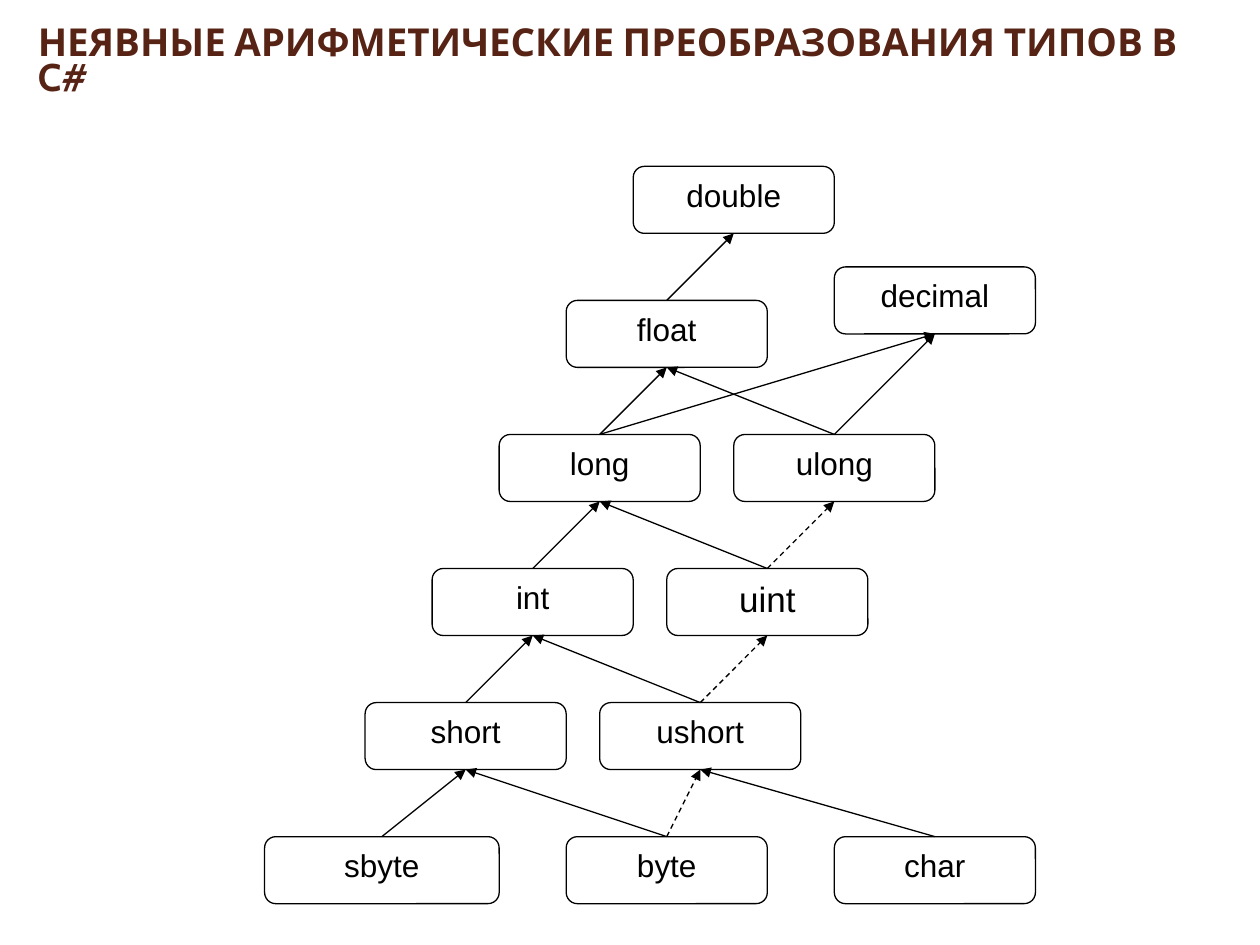
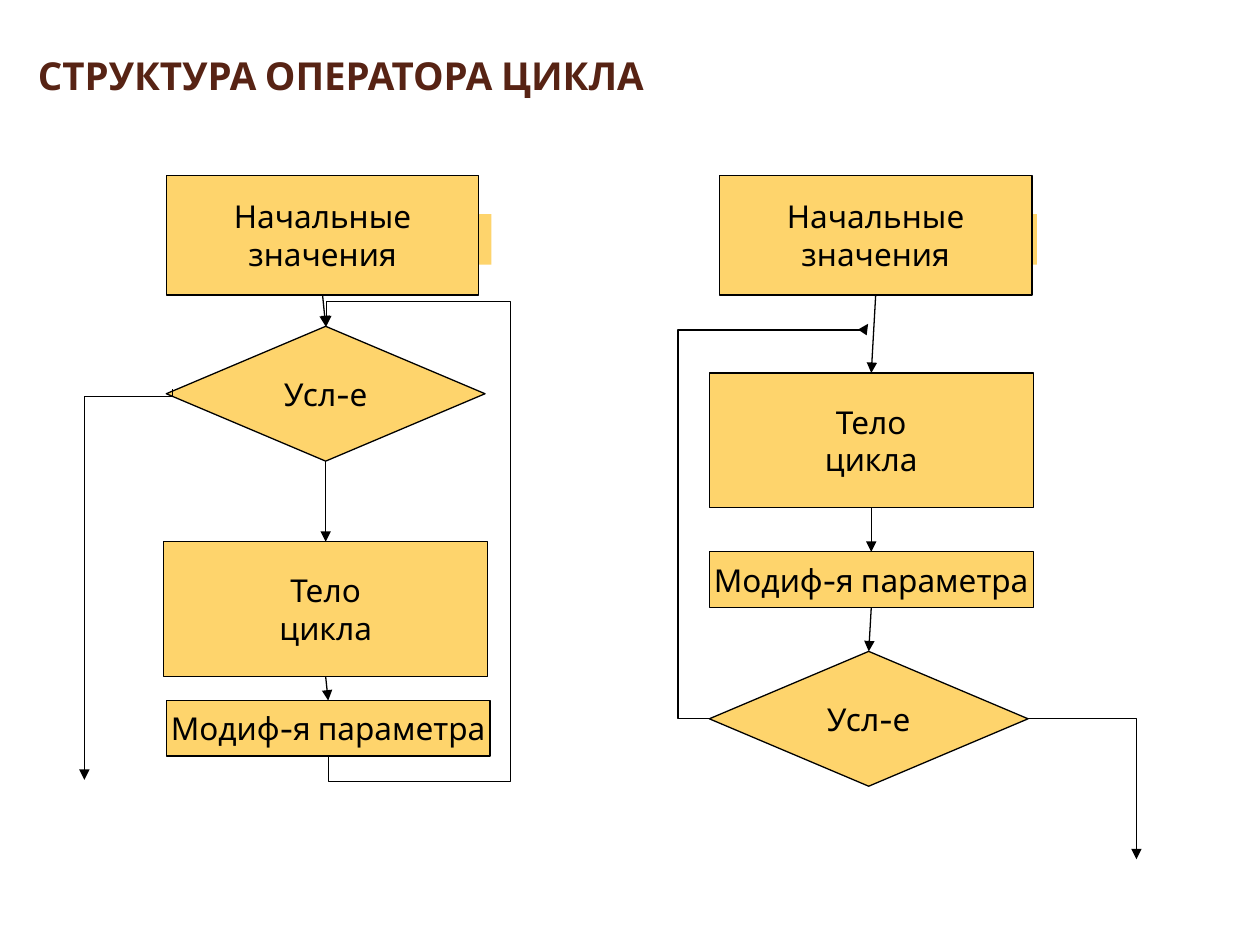
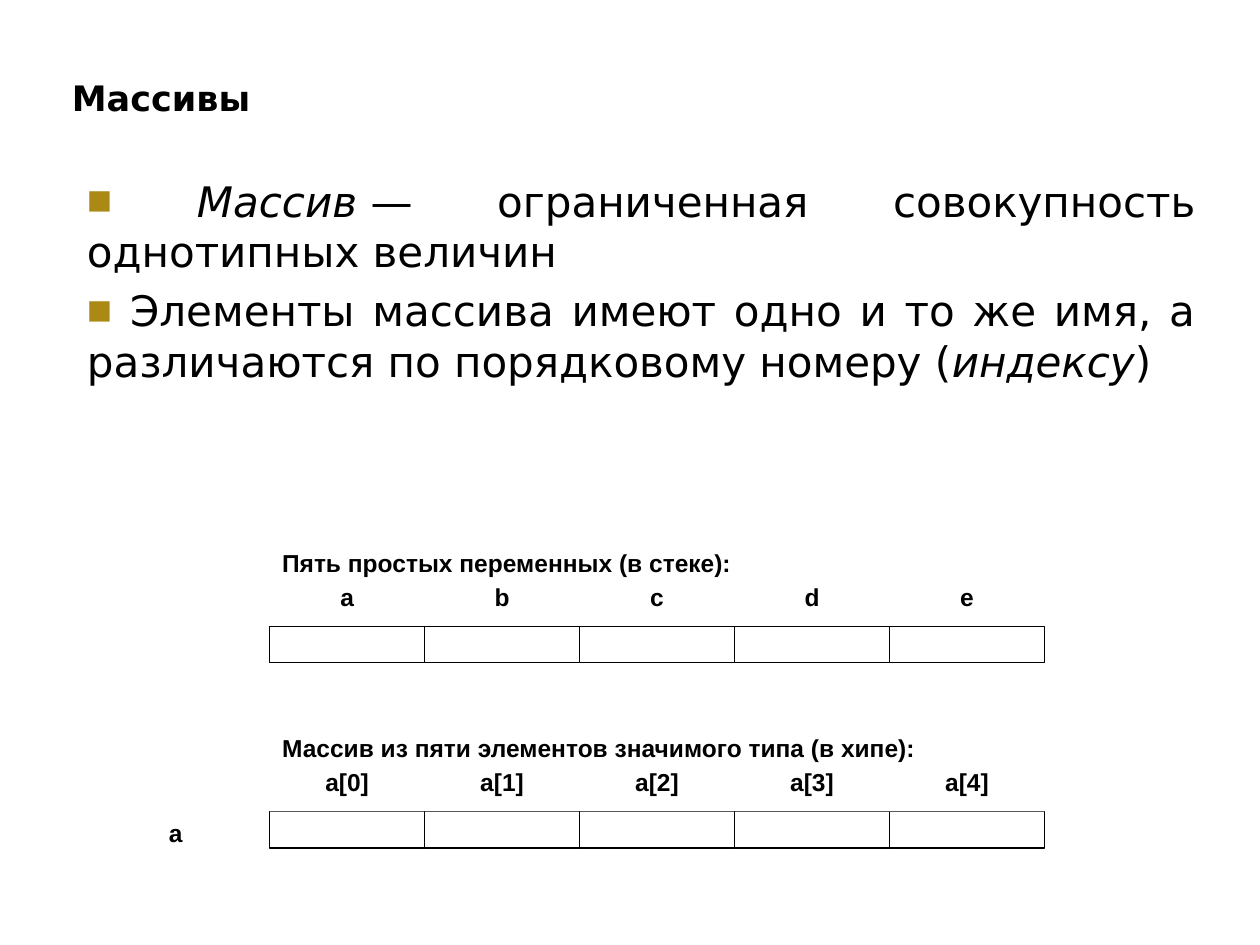
"""Build three C# lecture slides: type conversions, loop structure, arrays."""
from lxml.etree import SubElement
from pptx import Presentation
from pptx.dml.color import RGBColor
from pptx.enum.dml import MSO_LINE
from pptx.enum.shapes import MSO_CONNECTOR, MSO_SHAPE
from pptx.enum.text import MSO_ANCHOR as ANCHOR, MSO_AUTO_SIZE, PP_ALIGN as ALIGN
from pptx.oxml.ns import qn
from pptx.util import Inches, Pt

BLACK = RGBColor(0x00, 0x00, 0x00)
WHITE = RGBColor(0xFF, 0xFF, 0xFF)
BROWN = RGBColor(0x57, 0x23, 0x14)
YELLOW = RGBColor(0xFE, 0xD4, 0x6C)
BULLET = "AA8A14"
THIN = Pt(0.75)


def write(p, text, size=18, font="Arial", color=BLACK, bold=False, italic=False, align=ALIGN.CENTER):
    """Add one formatted run to a paragraph."""
    p.alignment = align
    r = p.add_run()
    r.text = text
    r.font.size, r.font.name = Pt(size), font
    r.font.bold, r.font.italic = bold, italic
    r.font.color.rgb = color


def box(s, kind, at, text="", fill=WHITE, outline=True, anchor=ANCHOR.TOP, wrap=True, **fmt):
    """Add a filled shape, one paragraph per line of text."""
    sp = s.shapes.add_shape(kind, *map(Inches, at))
    sp.shadow.inherit = False
    sp.fill.solid()
    sp.fill.fore_color.rgb = fill
    if outline:
        sp.line.color.rgb, sp.line.width = BLACK, THIN
    else:
        sp.line.fill.background()
    tf = sp.text_frame
    tf.vertical_anchor, tf.word_wrap = anchor, wrap
    for i, line in enumerate(text.split("\n") if text else []):
        write(tf.add_paragraph() if i else tf.paragraphs[0], line, **fmt)
    return sp


prs = Presentation()
prs.slide_width, prs.slide_height = Inches(10), Inches(7.5)

CONTENT, TITLE_ONLY = 1, 5
heading = dict(size=22, font="Cabin", color=BROWN)
titles = [
    (TITLE_ONLY, "НЕЯВНЫЕ АРИФМЕТИЧЕСКИЕ ПРЕОБРАЗОВАНИЯ ТИПОВ В C#", (0.2, -0.19, 9.61, 1.03), 0.05, heading),
    (TITLE_ONLY, "СТРУКТУРА ОПЕРАТОРА ЦИКЛА", (0.2, 0, 10.15, 0.83), 0.05, heading),
    (CONTENT, "Массивы", (0.47, 0, 4.17, 1.27), 0.33, dict(size=20, font="DejaVu Sans")),
]
for layout, text, at, bottom, fmt in titles:
    s = prs.slides.add_slide(prs.slide_layouts[layout])
    sp = s.shapes.title
    sp.left, sp.top, sp.width, sp.height = map(Inches, at)
    tf = sp.text_frame
    tf.auto_size, tf.vertical_anchor = MSO_AUTO_SIZE.NONE, ANCHOR.BOTTOM
    tf.margin_bottom = Inches(bottom)
    p = tf.paragraphs[0]
    p.line_spacing = Pt(20)
    write(p, text, bold=True, align=ALIGN.LEFT, **fmt)
types_slide, loop_slide, array_slide = prs.slides
arrows = []

UNIT = 5.32 / 20
LEFT, TOP = 2.1, 1.32
types = {
    "double": (11, 0), "decimal": (17, 3), "float": (9, 4),
    "long": (7, 8), "ulong": (14, 8), "int": (5, 12), "uint": (12, 12),
    "short": (3, 16), "ushort": (10, 16), "sbyte": (0, 20), "byte": (9, 20), "char": (17, 20),
}
nodes = {}
for name, (col, row) in types.items():
    cols = 7 if name == "sbyte" else 6
    at = (LEFT + col * UNIT, TOP + row * UNIT, cols * UNIT, 2 * UNIT)
    nodes[name] = box(types_slide, MSO_SHAPE.ROUNDED_RECTANGLE, at, name, size=20 if name == "uint" else 18)

conversions = {
    "sbyte": ["short"], "byte": ["short", "ushort"], "char": ["ushort"],
    "short": ["int"], "ushort": ["int", "uint"], "int": ["long"], "uint": ["long", "ulong"],
    "long": ["float", "decimal"], "ulong": ["float", "decimal"], "float": ["double"],
}
dashed = {("byte", "ushort"), ("ushort", "uint"), ("uint", "ulong")}
for source, targets in conversions.items():
    for target in targets:
        c = types_slide.shapes.add_connector(MSO_CONNECTOR.STRAIGHT, 0, 0, 0, 0)
        c.begin_connect(nodes[source], 0)
        c.end_connect(nodes[target], 2)
        arrows.append((c, (source, target) in dashed))

START, BODY, STEP, TEST = "Начальные\nзначения", "Тело\nцикла", "Модиф-я параметра", "Усл-е"
sizes = {START: (2.48, 0.95), BODY: (2.57, 1.07), STEP: (2.57, 0.44), TEST: (2.53, 1.07)}
flows = [
    ((1.42, 1.7), [(START, 1.32, 1.39), (TEST, 1.32, 2.59), (BODY, 1.3, 4.3), (STEP, 1.32, 5.56)]),
    ((5.75, 1.7), [(START, 5.71, 1.39), (BODY, 5.63, 2.96), (STEP, 5.63, 4.38), (TEST, 5.63, 5.17)]),
]
for stub, steps in flows:
    box(loop_slide, MSO_SHAPE.RECTANGLE, (*stub, 2.48, 0.4), fill=YELLOW, outline=False)
    chain = []
    for text, x, y in steps:
        kind = MSO_SHAPE.FLOWCHART_DECISION if text == TEST else MSO_SHAPE.FLOWCHART_PROCESS
        chain.append(box(loop_slide, kind, (x, y, *sizes[text]), text, fill=YELLOW,
                         anchor=ANCHOR.MIDDLE, wrap=False, font="Cabin"))
    for upper, lower in zip(chain, chain[1:]):
        c = loop_slide.shapes.add_connector(MSO_CONNECTOR.STRAIGHT, 0, 0, 0, 0)
        c.begin_connect(upper, 2)
        c.end_connect(lower, 0)
        arrows.append((c, False))

routes = [
    [(2.61, 6), (2.61, 6.2), (4.05, 6.2), (4.05, 2.39), (2.59, 2.39), (2.59, 2.59)],
    [(1.37, 3.09), (1.37, 3.15), (0.67, 3.15), (0.67, 6.19)],
    [(8.16, 5.7), (9.02, 5.7), (9.02, 6.82)],
    [(5.63, 5.7), (5.38, 5.7), (5.38, 2.62), (6.89, 2.62), (6.89, 2.57)],
]
for route in routes:
    start, *bends = [(Inches(x), Inches(y)) for x, y in route]
    path = loop_slide.shapes.build_freeform(*start)
    path.add_line_segments(bends, close=False)
    sp = path.convert_to_shape()
    sp.fill.background()
    arrows.append((sp, False))

for line, is_dashed in arrows:
    line.line.color.rgb, line.line.width = BLACK, THIN
    if is_dashed:
        line.line.dash_style = MSO_LINE.DASH
    props = line._element.spPr
    SubElement(props.find(qn("a:ln")), qn("a:tailEnd"), type="triangle")
    SubElement(props, qn("a:effectLst"))

sp = array_slide.placeholders[1]
sp.left, sp.top, sp.width, sp.height = map(Inches, (0.59, 0.91, 9, 3.23))
tf = sp.text_frame
tf.auto_size, tf.margin_top = MSO_AUTO_SIZE.NONE, Inches(0.48)
points = [
    [(" Массив\u00a0", True), ("— ограниченная совокупность однотипных величин", False)],
    [(" Элементы массива имеют одно и то же имя, а различаются по порядковому номеру (", False),
     ("индексу", True), (")", False)],
]
for i, runs in enumerate(points):
    p = tf.add_paragraph() if i else tf.paragraphs[0]
    p.space_before = Pt(5)
    for text, italic in runs:
        write(p, text, size=24, font="DejaVu Sans", italic=italic, align=ALIGN.JUSTIFY)
    props = p._p.get_or_add_pPr()
    props.set("marL", "0")
    props.set("indent", "0")
    SubElement(SubElement(props, qn("a:buClr")), qn("a:srgbClr"), val=BULLET)
    SubElement(props, qn("a:buChar"), char="■")

CELL_X, CELL_W, CELL_H = 2.14, 1.23, 0.29
label = dict(outline=False, size=14, bold=True)
arrays = [
    ("Пять простых переменных (в стеке):", 4.3, 0.29, list("abcde")),
    ("Массив из пяти элементов значимого типа (в хипе):", 5.77, 0.4, [f"a[{i}]" for i in range(5)]),
]
for caption, y, label_h, names in arrays:
    for i, name in enumerate(names):
        x = CELL_X + i * CELL_W
        box(array_slide, MSO_SHAPE.RECTANGLE, (x, y + 0.67, CELL_W, CELL_H))
        box(array_slide, MSO_SHAPE.RECTANGLE, (x, y + 0.27, CELL_W, label_h), name, **label)
    box(array_slide, MSO_SHAPE.RECTANGLE, (CELL_X, y, 5 * CELL_W, CELL_H), caption, align=ALIGN.LEFT, **label)
box(array_slide, MSO_SHAPE.RECTANGLE, (0.9, 6.44, 0.99, CELL_H), "a", **label)

prs.save("out.pptx")
